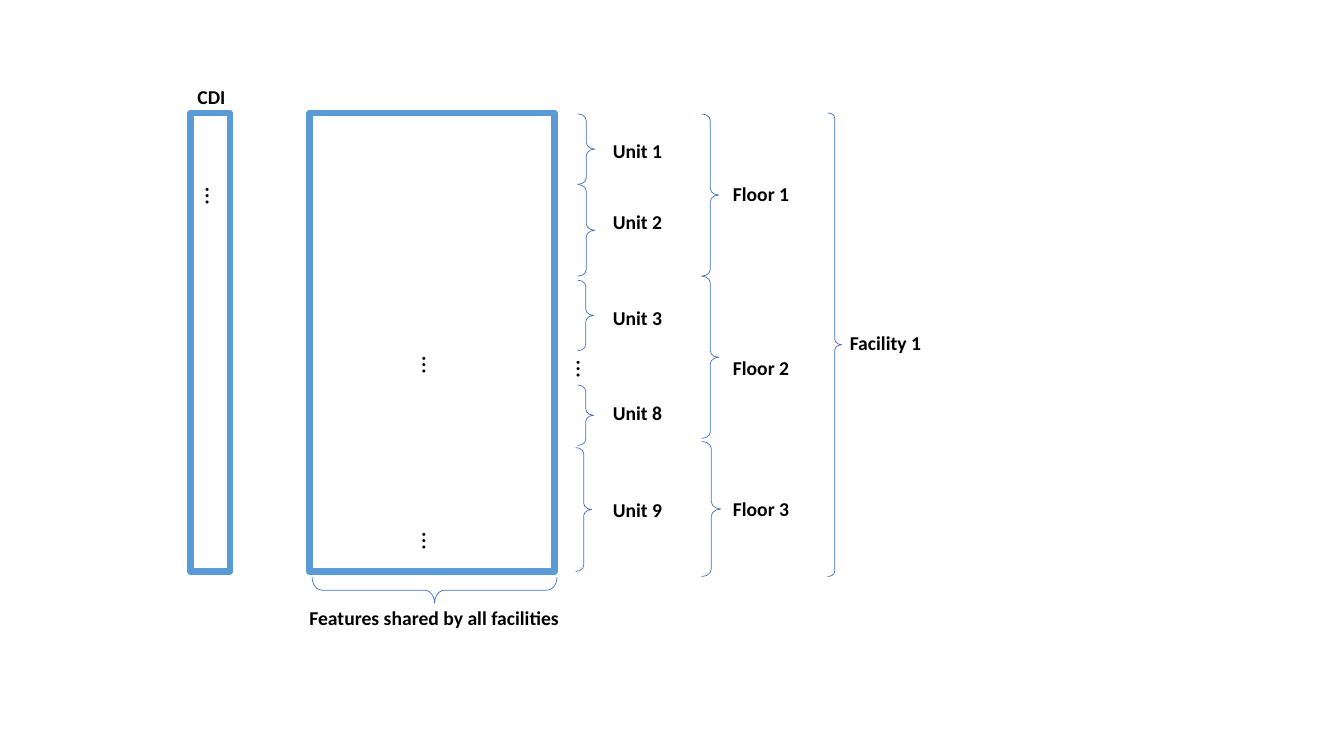
from dataclasses import dataclass

from pptx import Presentation
from pptx.dml.color import RGBColor
from pptx.enum.shapes import MSO_SHAPE
from pptx.enum.text import MSO_AUTO_SIZE
from pptx.util import Inches, Pt


@dataclass(frozen=True)
class Theme:
    font: str = "Calibri"
    text: RGBColor = RGBColor(0x00, 0x00, 0x00)
    panel: RGBColor = RGBColor(0xFF, 0xFF, 0xFF)
    border: RGBColor = RGBColor(0x5B, 0x9B, 0xD5)
    brace: RGBColor = RGBColor(0x44, 0x72, 0xC4)
    label_size: int = 14
    dots_size: int = 18
    border_width: float = 4.5
    brace_width: float = 0.5


class Diagram:
    def __init__(self, slide, theme):
        self.slide = slide
        self.theme = theme

    def shape(self, kind, box, color, width):
        sp = self.slide.shapes.add_shape(kind, *map(Inches, box))
        sp.shadow.inherit = False
        sp.line.color.rgb = color
        sp.line.width = Pt(width)
        return sp

    def panel(self, *box):
        sp = self.shape(MSO_SHAPE.RECTANGLE, box, self.theme.border, self.theme.border_width)
        sp.fill.solid()
        sp.fill.fore_color.rgb = self.theme.panel

    def brace(self, *box, rotation=0):
        sp = self.shape(MSO_SHAPE.RIGHT_BRACE, box, self.theme.brace, self.theme.brace_width)
        sp.fill.background()
        sp.adjustments[0] = 0.382
        sp.adjustments[1] = 0.5
        sp.rotation = rotation

    def text(self, text, box, size, bold):
        sp = self.slide.shapes.add_textbox(*map(Inches, box))
        tf = sp.text_frame
        for name, value in {"word_wrap": False, "auto_size": MSO_AUTO_SIZE.SHAPE_TO_FIT_TEXT}.items():
            setattr(tf, name, value)
        r = tf.paragraphs[0].add_run()
        r.text = text
        for name, value in {"name": self.theme.font, "size": Pt(size), "bold": bold}.items():
            setattr(r.font, name, value)
        r.font.color.rgb = self.theme.text
        return sp

    def label(self, text, left, top, width):
        self.text(text, (left, top, width, 0.34), self.theme.label_size, True)

    def dots(self, left, top):
        self.text("…", (left, top, 0.38, 0.4), self.theme.dots_size, False).rotation = 90


UNITS = [
    ("Unit 1", 1.33, (5.73, 1.13, 0.17, 0.7)),
    ("Unit 2", 2.03, (5.73, 1.83, 0.17, 0.91)),
    ("Unit 3", 2.99, (5.73, 2.78, 0.16, 0.7)),
    ("Unit 8", 3.93, (5.73, 3.82, 0.16, 0.6)),
    ("Unit 9", 4.89, (5.71, 4.44, 0.16, 1.23)),
]
FLOORS = [
    ("Floor 1", 1.76, (6.96, 1.13, 0.17, 1.61)),
    ("Floor 2", 3.48, (6.96, 2.74, 0.17, 1.61)),
    ("Floor 3", 4.88, (6.96, 4.38, 0.19, 1.34)),
]
FACILITIES = [("Facility 1", 3.23, (8.21, 1.12, 0.14, 4.6))]
LEVELS = [(5.98, 0.7, UNITS), (7.17, 0.76, FLOORS), (8.33, 0.92, FACILITIES)]


def main():
    prs = Presentation()
    prs.slide_width = Inches(13.33)
    prs.slide_height = Inches(7.5)
    s = prs.slides.add_slide(prs.slide_layouts[6])
    diagram = Diagram(s, Theme())

    diagram.label("CDI", 1.86, 0.79, 0.48)
    diagram.panel(1.89, 1.12, 0.39, 4.55)
    diagram.panel(3.07, 1.12, 2.43, 4.55)
    for left, top in [(1.95, 1.75), (4.1, 3.43), (4.1, 5.17), (5.63, 3.47)]:
        diagram.dots(left, top)

    diagram.brace(4.18, 4.64, 0.26, 2.43, rotation=90)
    diagram.label("Features shared by all facilities", 2.97, 5.96, 2.7)

    for left, width, groups in LEVELS:
        for name, top, box in groups:
            diagram.brace(*box)
            diagram.label(name, left, top, width)

    prs.save("out.pptx")


if __name__ == "__main__":
    main()
